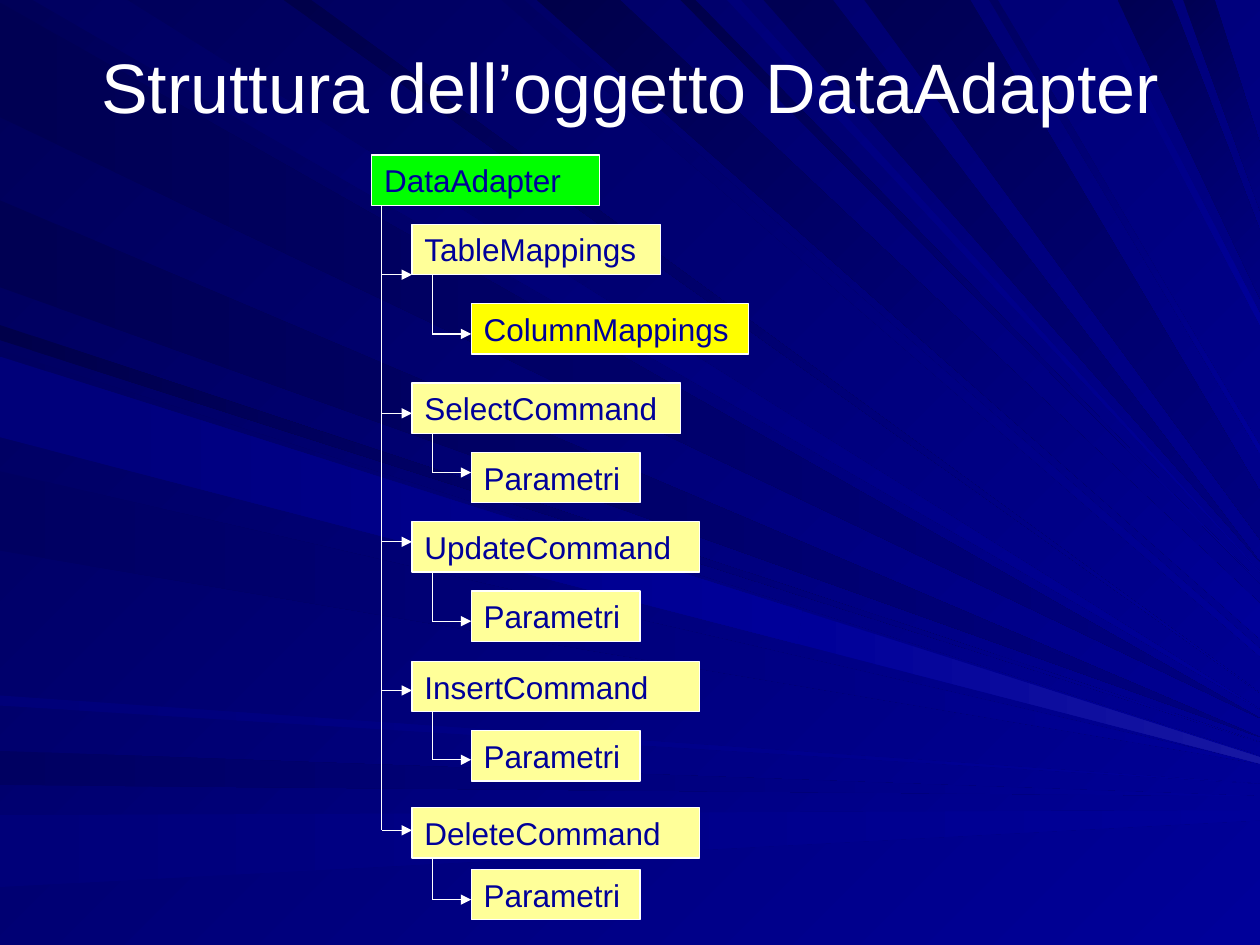
"""Build the slide on the structure of the DataAdapter object."""
from lxml import etree
from pptx import Presentation
from pptx.dml.color import RGBColor
from pptx.enum.shapes import MSO_CONNECTOR, MSO_SHAPE
from pptx.enum.text import MSO_ANCHOR, PP_ALIGN
from pptx.oxml.ns import qn
from pptx.util import Pt

RECTANGLE = MSO_SHAPE.RECTANGLE
STRAIGHT = MSO_CONNECTOR.STRAIGHT
TOP, MIDDLE = MSO_ANCHOR.TOP, MSO_ANCHOR.MIDDLE
LEFT, CENTER = PP_ALIGN.LEFT, PP_ALIGN.CENTER
SCALE = 9144
WIDTH, HEIGHT = 1000, 750

THEME = {
    "font": "Arial",
    "title_size": 40,
    "label_size": 18,
    "line_width": 0.75,
    "white": "FFFFFF",
    "ink": "000099",
    "root": "00FF00",
    "member": "FFFF99",
    "mapping": "FFFF00",
    "background": ("000058", "000099", 45),
    "dark": ("000053", "000080"),
    "deep": ("00004A", "000099"),
    "medium": ("000061", "000099"),
    "light": ("000079", "000099"),
    "glow": ("000099", "1717A2"),
}

RAYS = [
    ("left", 2, 93, 570, 570, "dark"),
    ("top", 26, 101, 563, 563, "medium"),
    ("left", 596, 623, 632, 632, "medium"),
    ("left", 647, 704, 643, 651, "light"),
    ("left", 258, 270, 589, 589, "deep"),
    ("left", 159, 228, 585, 585, "dark"),
    ("top", 398, 416, 515, 521, "medium"),
    ("top", 426, 492, 479, 507, "deep"),
    ("top", 540, 552, 463, 463, "deep"),
    ("top", 606, 661, 446, 446, "dark"),
    ("top", 887, 930, 183, 237, "dark"),
    ("top", 939, 964, 114, 167, "dark"),
    ("left", 278, 342, 600, 600, "medium"),
    ("left", 374, 437, 606, 606, "medium"),
    ("left", 552, 560, 622, 622, "light"),
    ("top", 225, 247, 550, 550, "deep"),
    ("top", 577, 588, 454, 454, "light"),
    ("top", 686, 770, 390, 428, "dark"),
    ("top", 785, 792, 354, 360, "medium"),
    ("top", 865, 872, 249, 258, "light"),
]
BEAM = [
    ("light", [(0, 283), (0, 347), (633, 511), (637, 485)]),
    ("glow", [(637, 485), (633, 511), (WIDTH, 606), (WIDTH, 601)]),
]

NODE_HEIGHT = 40
NODE_LEFT = [295, 327, 374]
STEM_LEFT = [None, 303, 343]
NODES = [
    ("DataAdapter", 0, 123, 181, "root", None),
    ("TableMappings", 1, 178, 197, "member", 218),
    ("ColumnMappings", 2, 241, 220, "mapping", 265),
    ("SelectCommand", 1, 304, 213, "member", 328),
    ("Parametri", 2, 359, 134, "member", 375),
    ("UpdateCommand", 1, 414, 228, "member", 430),
    ("Parametri", 2, 469, 134, "member", 493),
    ("InsertCommand", 1, 525, 228, "member", 548),
    ("Parametri", 2, 580, 134, "member", 603),
    ("DeleteCommand", 1, 641, 228, "member", 659),
    ("Parametri", 2, 690, 134, "member", 714),
]


def paint(fill, start, end=None, angle=0):
    if end is None:
        fill.solid()
        fill.fore_color.rgb = RGBColor.from_string(start)
        return
    fill.gradient()
    fill.gradient_angle = -angle % 360
    for stop, color in zip(fill.gradient_stops, (start, end)):
        stop.color.rgb = RGBColor.from_string(color)


def write(box, text, *, size, color, align=LEFT, anchor=TOP):
    frame = box.text_frame
    frame.word_wrap = True
    frame.vertical_anchor = anchor
    para = frame.paragraphs[0]
    para.alignment = align
    span = para.add_run()
    span.text = text
    span.font.name = THEME["font"]
    span.font.size = Pt(size)
    span.font.color.rgb = RGBColor.from_string(color)


deck = Presentation()
deck.slide_width, deck.slide_height = WIDTH * SCALE, HEIGHT * SCALE
page = deck.slides.add_slide(deck.slide_layouts[6])
paint(page.background.fill, *THEME["background"])

outlines = []
for edge, first, last, tip_top, tip_bottom, shade in RAYS:
    if edge == "left":
        points = [(0, last), (0, first), (WIDTH, tip_top), (WIDTH, tip_bottom)]
    else:
        points = [(first, 0), (last, 0), (WIDTH, tip_top), (WIDTH, tip_bottom)]
    outlines.append((shade, points, 0 if edge == "left" else 45))
outlines += [(shade, points, 0) for shade, points in BEAM]

for shade, points, angle in outlines:
    builder = page.shapes.build_freeform(*points[0], scale=SCALE)
    builder.add_line_segments(points[1:], close=True)
    ray = builder.convert_to_shape()
    ray.shadow.inherit = False
    ray.line.fill.background()
    paint(ray.fill, *THEME[shade], angle)

title = page.shapes.add_textbox(*(px * SCALE for px in (50, 5, 900, 125)))
write(title, "Struttura dell’oggetto DataAdapter", size=THEME["title_size"],
      color=THEME["white"], align=CENTER, anchor=MIDDLE)

links = []
parent_bottom = 0
for label, depth, top, width, color, link_top in NODES:
    left = NODE_LEFT[depth]
    node = page.shapes.add_shape(
        RECTANGLE, *(px * SCALE for px in (left, top, width, NODE_HEIGHT)))
    node.shadow.inherit = False
    paint(node.fill, THEME[color])
    paint(node.line.fill, THEME["white"])
    node.line.width = Pt(THEME["line_width"])
    write(node, label, size=THEME["label_size"], color=THEME["ink"])
    if depth:
        stem = STEM_LEFT[depth]
        links.append((stem, link_top, left, link_top, True))
    if depth == 2:
        links.append((stem, parent_bottom, stem, link_top, False))
    parent_bottom = top + NODE_HEIGHT

trunk = STEM_LEFT[1]
trunk_bottom = max(node[5] for node in NODES if node[1] == 1)
links.append((trunk, NODES[0][2] + NODE_HEIGHT, trunk, trunk_bottom, False))

for *ends, has_arrow in links:
    link = page.shapes.add_connector(STRAIGHT, *(px * SCALE for px in ends))
    paint(link.line.fill, THEME["white"])
    link.line.width = Pt(THEME["line_width"])
    properties = link.element.spPr
    if has_arrow:
        etree.SubElement(properties.find(qn("a:ln")), qn("a:tailEnd"), type="triangle")
    etree.SubElement(properties, qn("a:effectLst"))

deck.save("out.pptx")
